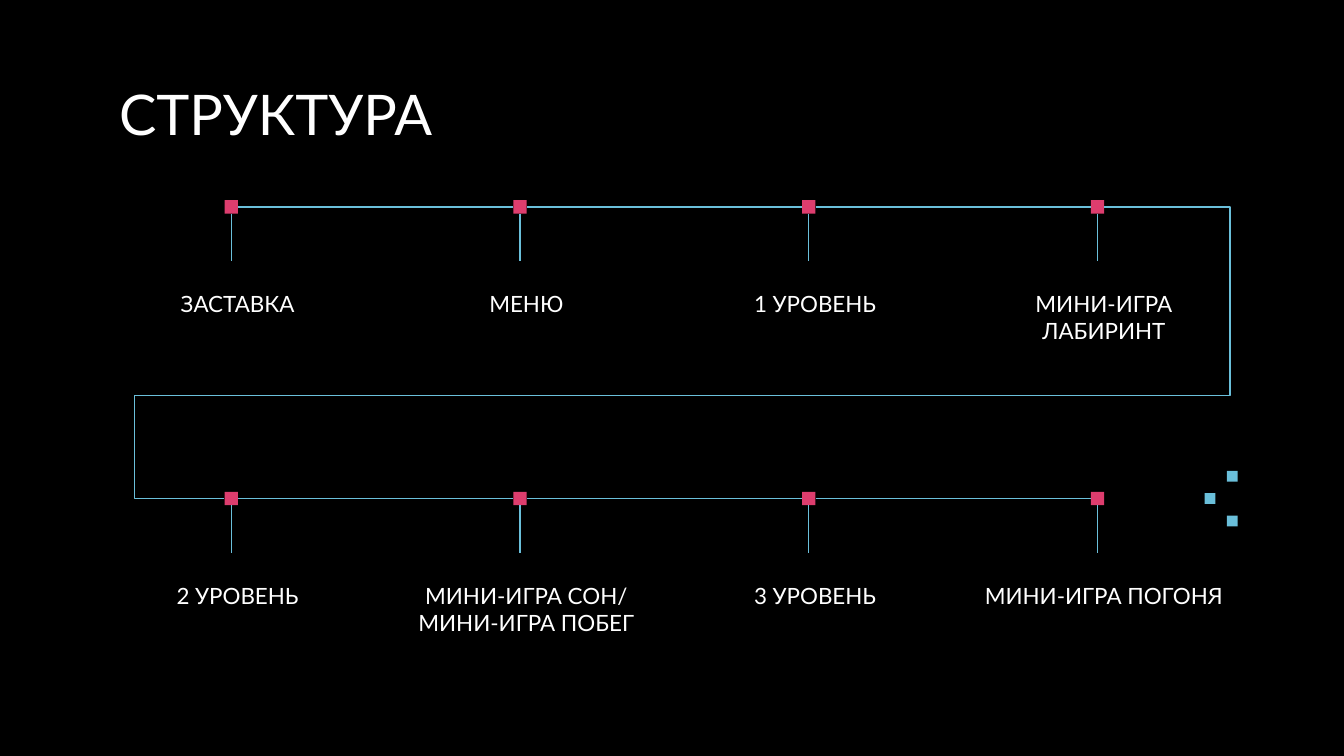
"""Builds the game structure slide: two rows of steps joined by a winding line."""
import pptx
import pptx.dml.color
import pptx.enum.shapes
import pptx.enum.text
import pptx.oxml
import pptx.oxml.ns
import pptx.util

BLACK = pptx.dml.color.RGBColor(0x00, 0x00, 0x00)
WHITE = pptx.dml.color.RGBColor(0xFF, 0xFF, 0xFF)
PINK = pptx.dml.color.RGBColor(0xDD, 0x3D, 0x6E)
BLUE = pptx.dml.color.RGBColor(0x6A, 0xBF, 0xDA)

FIRST_X, PITCH = 123.9, 154.7
NODE, STEM = 7.2, 25.4
LABEL_WIDTH, LABEL_HEIGHT = 142.6, 48.2
LABEL_SHIFT, LABEL_DROP = 3.4, 37.4
ACCENT = 5.8

ROWS = [
    (110.9, [["ЗАСТАВКА"], ["МЕНЮ"], ["1 УРОВЕНЬ"], ["МИНИ-ИГРА", "ЛАБИРИНТ"]]),
    (267.1, [["2 УРОВЕНЬ"], ["МИНИ-ИГРА СОН/", "МИНИ-ИГРА ПОБЕГ"],
             ["3 УРОВЕНЬ"], ["МИНИ-ИГРА ПОГОНЯ"]]),
]
ACCENT_CENTERS = [(660.2, 255.1), (648.2, 267.1), (660.2, 279.1)]
BENDS = {"adj1": -14300, "adj2": 64700, "adj3": 110200}


class Painter:
    """Holds the style and the current slide."""

    font = "Lato"
    line_width = 0.75

    def __init__(self, page):
        self.page = page
        page.background.fill.solid()
        page.background.fill.fore_color.rgb = BLACK

    def text(self, left, top, width, height, lines, size, align):
        box = self.page.shapes.add_textbox(
            *map(pptx.util.Pt, (left, top, width, height)))
        frame = box.text_frame
        frame.word_wrap = True
        frame.margin_left = frame.margin_right = pptx.util.Pt(7.2)
        frame.margin_top = frame.margin_bottom = pptx.util.Pt(7.2)
        frame.text = "\n".join(lines)
        for para in frame.paragraphs:
            para.alignment = align
            para.font.name = self.font
            para.font.size = pptx.util.Pt(size)
            para.font.color.rgb = WHITE

    def square(self, x, y, side, color, shapes=None):
        shapes = self.page.shapes if shapes is None else shapes
        square = shapes.add_shape(
            pptx.enum.shapes.MSO_SHAPE.RECTANGLE,
            *map(pptx.util.Pt, (x - side / 2, y - side / 2, side, side)))
        square.shadow.inherit = False
        square.fill.solid()
        square.fill.fore_color.rgb = color
        square.line.fill.background()
        return square

    def line(self, start, end, kind=pptx.enum.shapes.MSO_CONNECTOR.STRAIGHT):
        line = self.page.shapes.add_connector(kind, *map(pptx.util.Pt, start + end))
        line.line.color.rgb = BLUE
        line.line.width = pptx.util.Pt(self.line_width)
        properties = line._element.spPr
        properties.append(pptx.oxml.parse_xml(
            f"<a:effectLst {pptx.oxml.ns.nsdecls('a')}/>"))
        return line

    def link(self, left_node, right_node, start, end):
        line = self.line(start, end)
        line.begin_connect(left_node, 3)
        line.end_connect(right_node, 1)

    def stem(self, node, x, y):
        line = self.line((x, y + NODE / 2), (x, y + NODE / 2 + STEM))
        line.begin_connect(node, 0 + 2)

    def winding_link(self, last_node, first_node, start, end):
        line = self.line(start, end, pptx.enum.shapes.MSO_CONNECTOR.ELBOW)
        line.begin_connect(last_node, 3)
        line.end_connect(first_node, 1)
        geometry = line._element.spPr.find(pptx.oxml.ns.qn("a:prstGeom"))
        geometry.set("prst", "bentConnector5")
        for child in list(geometry):
            geometry.remove(child)
        guides = "".join(f'<a:gd name="{name}" fmla="val {value}"/>'
                         for name, value in BENDS.items())
        geometry.append(pptx.oxml.parse_xml(
            f"<a:avLst {pptx.oxml.ns.nsdecls('a')}>{guides}</a:avLst>"))

    def row(self, y, labels):
        centers = [FIRST_X + PITCH * column for column in range(len(labels))]
        nodes = [self.square(x, y, NODE, PINK) for x in centers]
        for x, node, lines in zip(centers, nodes, labels):
            self.text(x + LABEL_SHIFT - LABEL_WIDTH / 2, y + LABEL_DROP,
                      LABEL_WIDTH, LABEL_HEIGHT, lines, 12,
                      pptx.enum.text.PP_ALIGN.CENTER)
            self.stem(node, x, y)
        for index in range(len(nodes) - 1):
            self.link(nodes[index], nodes[index + 1],
                      (centers[index] + NODE / 2, y),
                      (centers[index + 1] - NODE / 2, y))
        return nodes

    def accent(self, centers):
        group = self.page.shapes.add_group_shape()
        for x, y in centers:
            self.square(x, y, ACCENT, BLUE, group.shapes)


def main():
    deck = pptx.Presentation()
    deck.slide_width = pptx.util.Pt(720)
    deck.slide_height = pptx.util.Pt(405)
    painter = Painter(deck.slides.add_slide(deck.slide_layouts[6]))

    painter.text(56.7, 35.3, 607, 45.4, ["СТРУКТУРА"], 30,
                 pptx.enum.text.PP_ALIGN.LEFT)
    upper, lower = [painter.row(y, labels) for y, labels in ROWS]
    last_x = FIRST_X + PITCH * (len(upper) - 1)
    painter.winding_link(upper[-1], lower[0],
                         (last_x + NODE / 2, ROWS[0][0]),
                         (FIRST_X - NODE / 2, ROWS[1][0]))
    painter.accent(ACCENT_CENTERS)
    deck.save("out.pptx")


if __name__ == "__main__":
    main()
